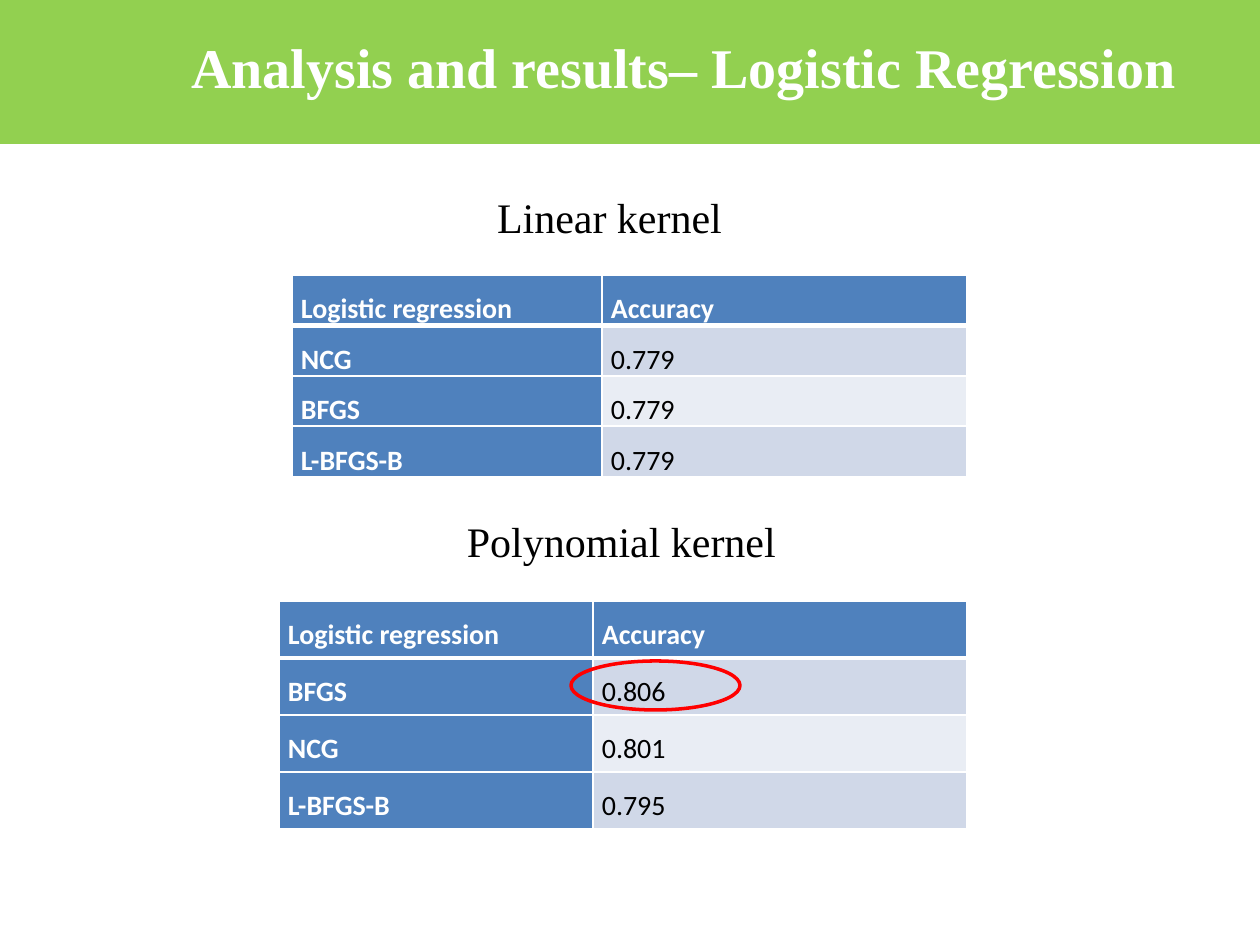
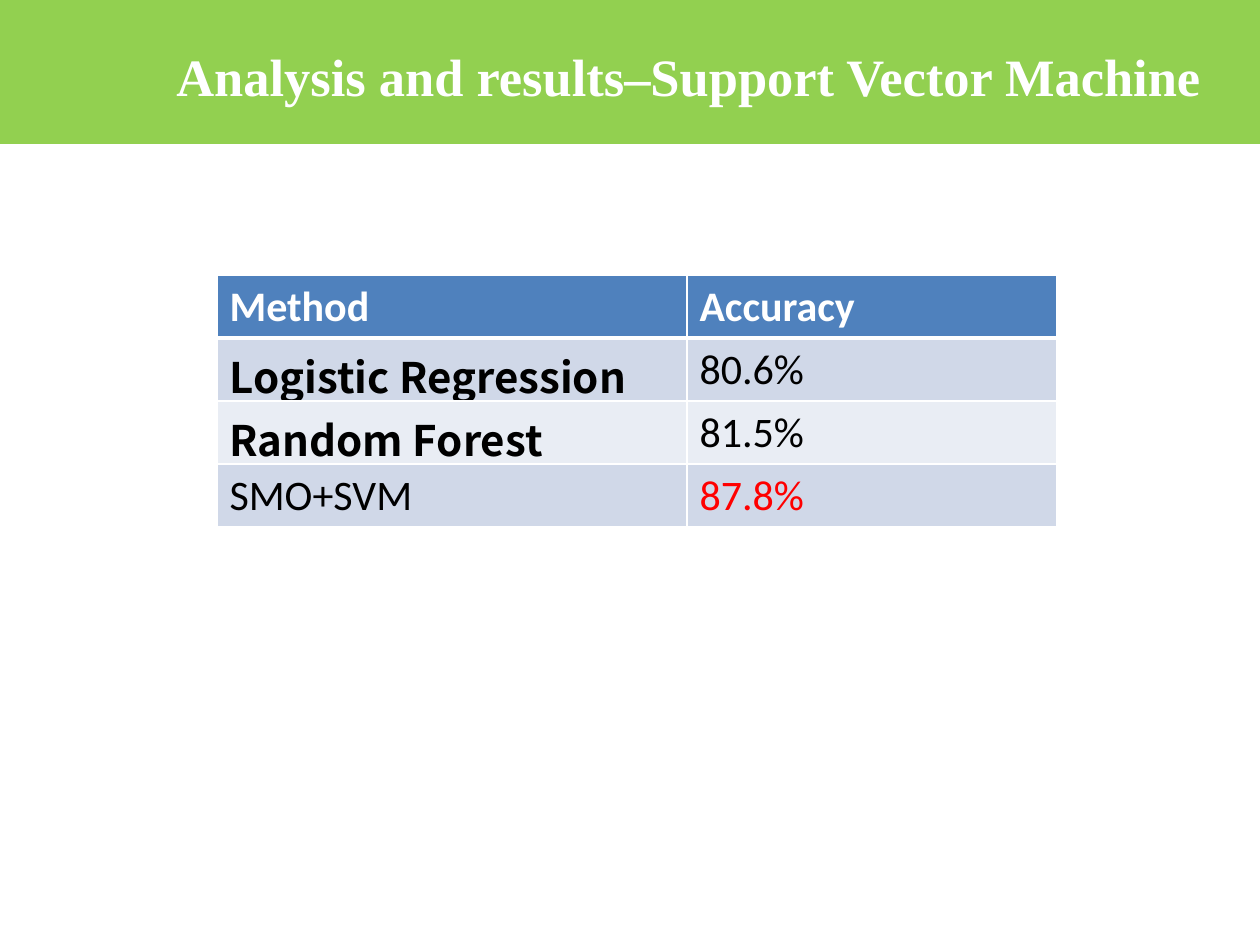
"""Build two slides that compare classifier accuracies in tables."""
from lxml.etree import SubElement
from pptx import Presentation
from pptx.dml.color import RGBColor
from pptx.enum.shapes import MSO_SHAPE as Shape
from pptx.enum.text import MSO_ANCHOR as Anchor, PP_ALIGN as Align
from pptx.oxml.ns import qn
from pptx.util import Pt

PX = 7257
GREEN, BLUE, RED = "92D050", "4F81BD", "FF0000"
WHITE, BLACK = "FFFFFF", "000000"
BANDS = ["D0D8E8", "E9EDF4"]
SERIF, SANS, CJK = "Times New Roman", "Calibri", "Noto Sans CJK SC"


def hue(code):
    return RGBColor.from_string(code)


def write(frame, text, face, size, color, bold=False):
    frame.text = text
    font = frame.paragraphs[0].runs[0].font
    font.name, font.size, font.bold = face, Pt(size), bold
    font.color.rgb = hue(color)
    return frame.paragraphs[0]


linear = [("Logistic regression", "Accuracy"), ("NCG", "0.779"),
          ("BFGS", "0.779"), ("L-BFGS-B", "0.779")]
polynomial = [("Logistic regression", "Accuracy"), ("BFGS", "0.806"),
              ("NCG", "0.801"), ("L-BFGS-B", "0.795")]
methods = [("Method", "Accuracy"), ("Logistic Regression", "80.6%"),
           ("Random Forest", "81.5%"), ("SMO+SVM", "87.8%")]

pages = [
    {"title": ("Analysis and results– Logistic Regression", 179, 26, 32),
     "captions": [("Polynomial kernel", 236, 509, 771),
                  ("Linear kernel", 233, 185, 753)],
     "results": [(linear, 292, 275, (310, 365), 47),
                 (polynomial, 279, 601, (314, 374), 57)],
     "kernels": True, "best": (571, 661, 169, 49)},
    {"title": ("Analysis and results–Support Vector Machine", 164, 35, 30),
     "captions": [],
     "results": [(methods, 217, 275, (470, 370), 52)],
     "kernels": False, "best": None},
]

deck = Presentation()
deck.slide_width, deck.slide_height = 1260 * PX, 945 * PX

for page in pages:
    slide = deck.slides.add_slide(deck.slide_layouts[6])
    shapes = slide.shapes
    kernels = page["kernels"]

    band = shapes.add_shape(Shape.RECTANGLE, 0, 0, deck.slide_width, 144 * PX)
    band.shadow.inherit = False
    band.fill.solid()
    band.fill.fore_color.rgb = hue(GREEN)
    band.line.fill.background()

    text, left, top, size = page["title"]
    title = shapes.add_textbox(left * PX, top * PX, 1160 * PX, 81 * PX).text_frame
    title.word_wrap = True
    title.vertical_anchor = Anchor.MIDDLE
    write(title, text, SERIF, size, WHITE, True)

    for text, left, top, width in page["captions"]:
        caption = shapes.add_textbox(left * PX, top * PX, width * PX, 63 * PX).text_frame
        caption.word_wrap = True
        write(caption, text, SERIF, 24, BLACK).alignment = Align.CENTER

    for records, left, top, widths, height in page["results"]:
        results = shapes.add_table(len(records), 2, left * PX, top * PX, sum(widths) * PX,
                                   len(records) * height * PX).table
        for column, width in zip(results.columns, widths):
            column.width = width * PX
        for r, record in enumerate(records):
            results.rows[r].height = height * PX
            for c, text in enumerate(record):
                cell = results.cell(r, c)
                heading = r == 0 or (kernels and c == 0)
                face = CJK if text in ("Logistic Regression", "Random Forest") else SANS
                color = WHITE if heading else RED if text == "87.8%" else BLACK
                entry = write(cell.text_frame, text, face, 16 if kernels else 24,
                              color, heading or face == CJK)
                if kernels:
                    entry.alignment, entry.line_spacing = Align.JUSTIFY, 1.5
                    cell.margin_left = cell.margin_right = 9 * PX
                    cell.margin_top = cell.margin_bottom = 0

                for side in "LRTB":
                    under_header = (r, side) in ((0, "B"), (1, "T"))
                    border = SubElement(cell._tc.get_or_add_tcPr(), qn("a:ln" + side),
                                        w=str(Pt(3 if under_header else 1)))
                    paint = SubElement(border, qn("a:solidFill"))
                    SubElement(paint, qn("a:srgbClr"), val=WHITE)
                cell.fill.solid()
                cell.fill.fore_color.rgb = hue(BLUE if heading else BANDS[(r - 1) % 2])

    if page["best"]:
        best = shapes.add_shape(Shape.OVAL, *(length * PX for length in page["best"]))
        best.shadow.inherit = False
        best.fill.background()
        best.line.color.rgb = hue(RED)
        best.line.width = Pt(2)

deck.save("out.pptx")
